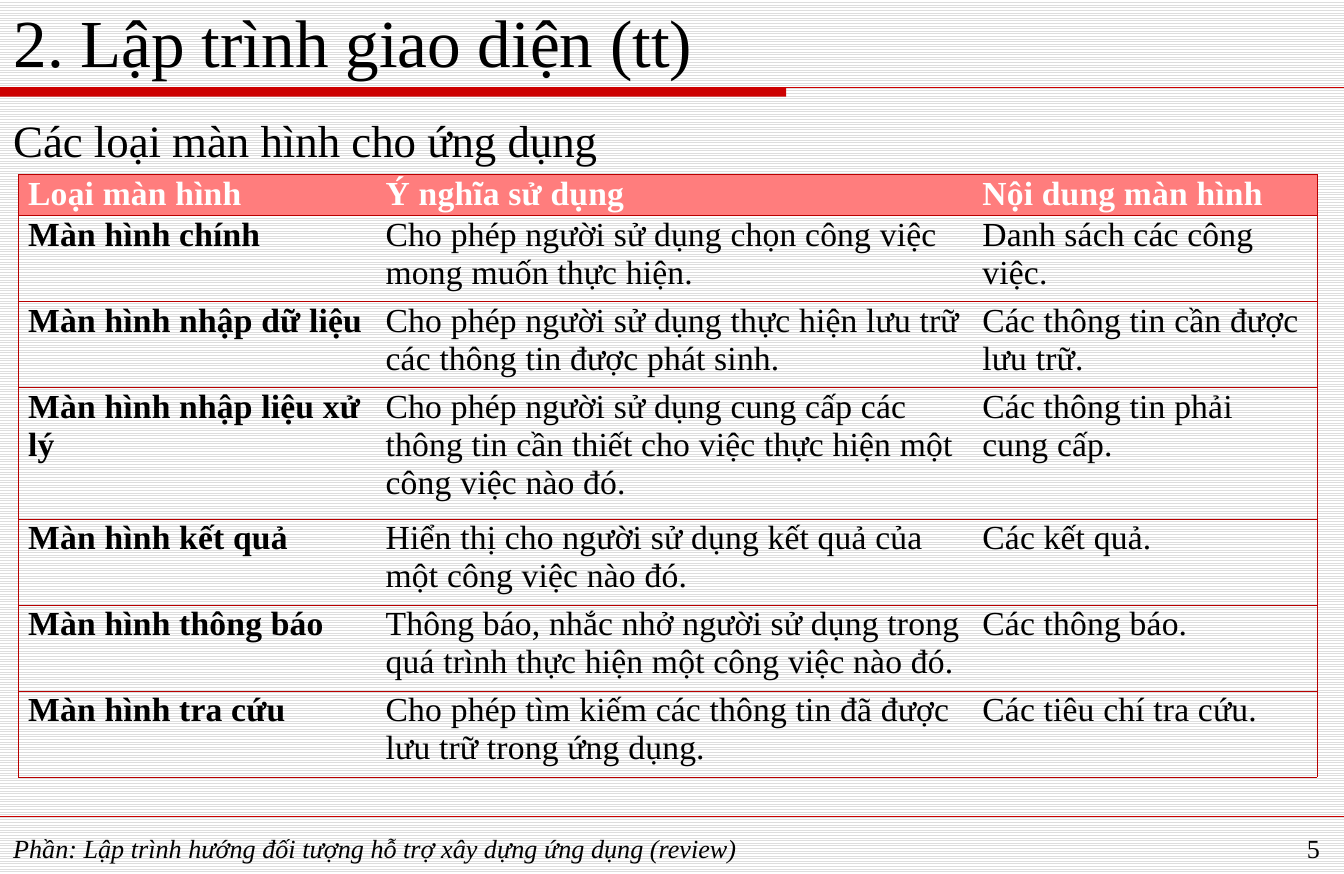
from lxml import etree
from pptx import Presentation
from pptx import util as u
from pptx.dml.color import RGBColor
from pptx.enum import dml, shapes, text
from pptx.oxml.ns import qn

PX = 9144  # EMU per px, 100 px to the inch
FONT = "Times New Roman"
BLACK = RGBColor(0x00, 0x00, 0x00)
WHITE = RGBColor(0xFF, 0xFF, 0xFF)
STRIPE = RGBColor(0xDD, 0xDD, 0xDD)
RED = RGBColor(0xCC, 0x00, 0x00)
BORDER = RGBColor(0xB9, 0x00, 0x00)
HEADER = RGBColor(0xFF, 0x7D, 0x7D)
NO_STYLE_NO_GRID = "{2D5ABB26-0587-4C30-8999-92F81FD0307C}"

COLUMN_WIDTHS = [266, 444, 256]
ROW_HEIGHTS = [30, 64, 64, 98, 64, 64, 64]
SCREENS = [
    ("Loại màn hình", "Ý nghĩa sử dụng", "Nội dung màn hình"),
    ("Màn hình chính",
     "Cho phép người sử dụng chọn công việc mong muốn thực hiện.",
     "Danh sách các công việc."),
    ("Màn hình nhập dữ liệu",
     "Cho phép người sử dụng thực hiện lưu trữ các thông tin được phát sinh.",
     "Các thông tin cần được lưu trữ."),
    ("Màn hình nhập liệu xử lý",
     "Cho phép người sử dụng cung cấp các thông tin cần thiết cho việc "
     "thực hiện một công việc nào đó.",
     "Các thông tin phải cung cấp."),
    ("Màn hình kết quả",
     "Hiển thị cho người sử dụng kết quả của một công việc nào đó.",
     "Các kết quả."),
    ("Màn hình thông báo",
     "Thông báo, nhắc nhở người sử dụng trong quá trình thực hiện "
     "một công việc nào đó.",
     "Các thông báo."),
    ("Màn hình tra cứu",
     "Cho phép tìm kiếm các thông tin đã được lưu trữ trong ứng dụng.",
     "Các tiêu chí tra cứu."),
]


def px(*lengths):
    return [u.Emu(length * PX) for length in lengths]


def add_run(paragraph, words, size, color=BLACK, bold=False, italic=False):
    run = paragraph.add_run()
    run.text = words
    font = run.font
    font.name, font.size, font.color.rgb = FONT, u.Pt(size), color
    font.bold, font.italic = bold, italic
    return run


def add_title(slide, words, box):
    title = slide.shapes.title
    title.left, title.top, title.width, title.height = px(*box)
    frame = title.text_frame
    frame.auto_size = text.MSO_AUTO_SIZE.NONE
    frame.vertical_anchor = text.MSO_ANCHOR.BOTTOM
    paragraph = frame.paragraphs[0]
    paragraph.alignment = text.PP_ALIGN.LEFT
    add_run(paragraph, words, 36)


def add_text(slide, words, box, size, align=text.PP_ALIGN.LEFT, italic=False):
    frame = slide.shapes.add_textbox(*px(*box)).text_frame
    frame.word_wrap = True
    paragraph = frame.paragraphs[0]
    paragraph.alignment = align
    add_run(paragraph, words, size, italic=italic)


def add_bar(slide, box):
    bar = slide.shapes.add_shape(shapes.MSO_SHAPE.RECTANGLE, *px(*box))
    bar.shadow.inherit = False
    bar.fill.solid()
    bar.fill.fore_color.rgb = RED
    bar.line.fill.background()


def add_rule(slide, y, weight):
    rule = slide.shapes.add_connector(
        shapes.MSO_CONNECTOR.STRAIGHT, *px(0, y, 1000, y))
    rule.line.color.rgb = RED
    rule.line.width = u.Pt(weight)
    etree.SubElement(rule._element.spPr, qn("a:effectLst"))


def set_borders(cell, sides):
    """Draw the given sides, which come in the order L, R, T, B."""
    properties = cell._tc.get_or_add_tcPr()
    for side in sides:
        edge = etree.SubElement(properties, qn("a:ln" + side), w=str(u.Pt(0.5)))
        fill = etree.SubElement(edge, qn("a:solidFill"))
        etree.SubElement(fill, qn("a:srgbClr"), val=str(BORDER))


def fill_cell(cell, words, is_header, is_bold):
    cell.margin_left, cell.margin_right, cell.margin_top, cell.margin_bottom = px(7, 7, 0, 0)
    if is_header:
        cell.fill.solid()
        cell.fill.fore_color.rgb = HEADER
    else:
        cell.fill.background()
    paragraph = cell.text_frame.paragraphs[0]
    paragraph.line_spacing = u.Pt(20.4)
    run = add_run(paragraph, words, 18, WHITE if is_header else BLACK, is_bold)
    run._r.get_or_add_rPr().set("spc", "10")


def add_screen_table(slide, left, top):
    last_column = len(COLUMN_WIDTHS) - 1
    frame = slide.shapes.add_table(
        len(SCREENS), len(COLUMN_WIDTHS),
        *px(left, top, sum(COLUMN_WIDTHS), sum(ROW_HEIGHTS)))
    table = frame.table
    table.first_row = table.horz_banding = False
    table._tbl.tblPr.find(qn("a:tableStyleId")).text = NO_STYLE_NO_GRID
    for column, width in zip(table.columns, px(*COLUMN_WIDTHS)):
        column.width = width
    for row, height in zip(table.rows, px(*ROW_HEIGHTS)):
        row.height = height

    # Outer frame and row rules, no rules between columns
    for r, screen in enumerate(SCREENS):
        for c, words in enumerate(screen):
            cell = table.cell(r, c)
            sides = ("L" if c == 0 else "") + ("R" if c == last_column else "") + "TB"
            set_borders(cell, sides)
            fill_cell(cell, words, r == 0, r == 0 or c == 0)


def main():
    deck = Presentation()
    deck.slide_width, deck.slide_height = px(1000, 650)
    slide = deck.slides.add_slide(deck.slide_layouts[5])

    # Striped background
    background = slide.background.fill
    background.patterned()
    background.pattern = dml.MSO_PATTERN.LIGHT_HORIZONTAL
    background.fore_color.rgb = STRIPE
    background.back_color.rgb = WHITE

    # Rules under the title and above the footer
    add_bar(slide, (0, 65, 585, 7))
    add_rule(slide, 65, 0.75)
    add_rule(slide, 607, 0.25)

    # Title, subtitle and table
    add_title(slide, "2. Lập trình giao diện (tt)", (0, 7, 1000, 58))
    add_text(slide, "Các loại màn hình cho ứng dụng", (0, 79, 1000, 520), 24)
    add_screen_table(slide, 14, 130)

    # Footer and page number
    add_text(slide, "Phần: Lập trình hướng đối tượng hỗ trợ xây dựng ứng dụng (review)",
             (0, 614, 817, 29), 14, italic=True)
    add_text(slide, "5", (892, 614, 100, 31), 14, text.PP_ALIGN.RIGHT)

    deck.save("out.pptx")


if __name__ == "__main__":
    main()
